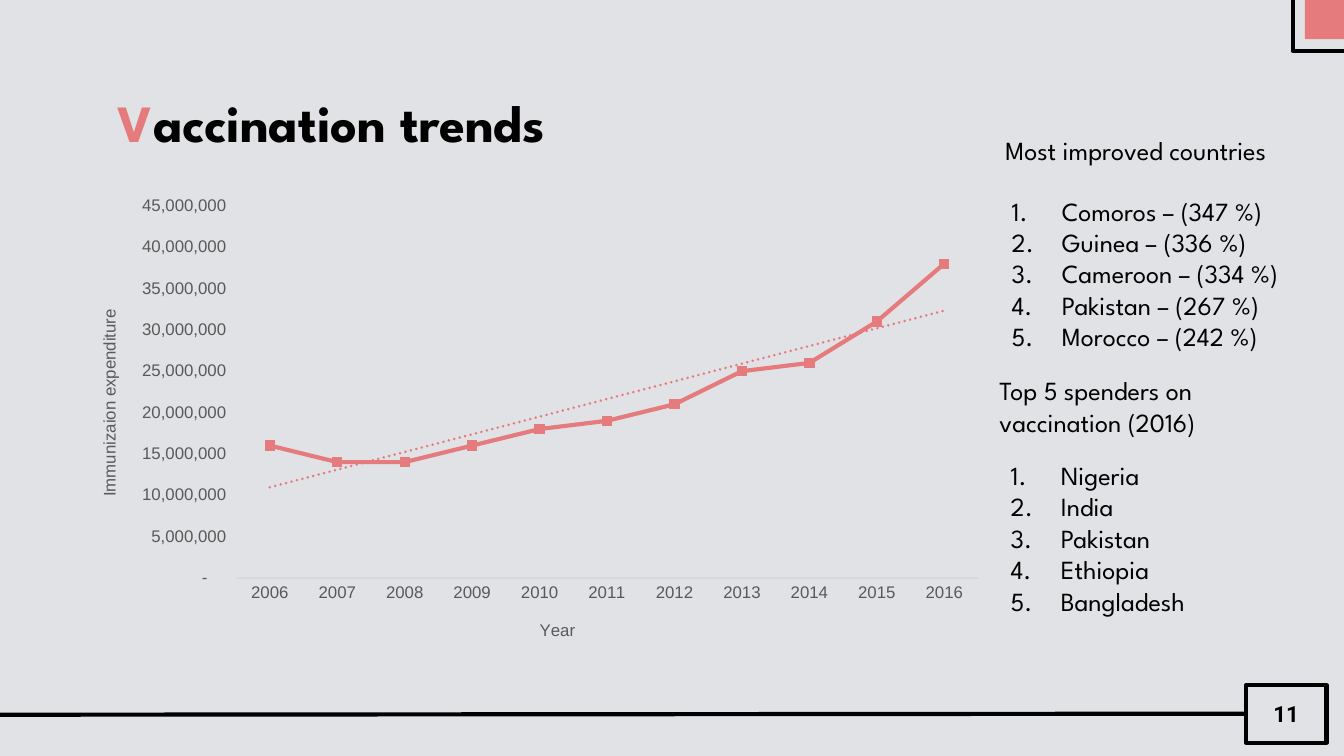
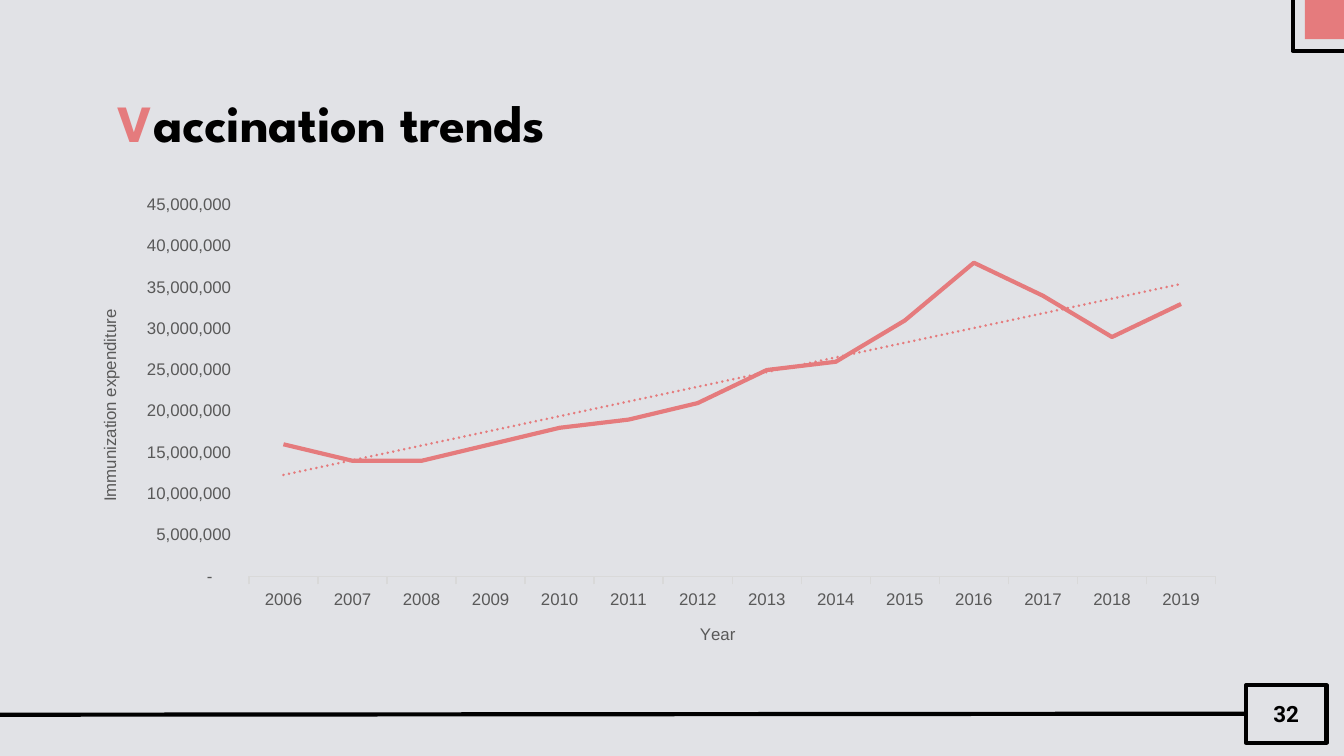
"""Build two slides on vaccination trends with line charts and ranked lists."""
from lxml import etree
from pptx import Presentation
from pptx import util as u
from pptx.chart import data
from pptx.dml import color
from pptx.enum import chart as charts, shapes, text
from pptx.oxml import ns, parse_xml

COLOURS = {"paper": "E1E2E6", "ink": "000000", "accent": "E57B7D",
           "label": "595959", "axis": "D9D9D9"}
HEAD_FONT, NUMBER_FONT, CHART_FONT = "League Spartan", "Roboto", "Arial"
NUMBER_FORMAT = '_(* #,##0_);_(* \\(#,##0\\);_(* "-"??_);_(@_)'
SPENDING = [16, 14, 14, 16, 18, 19, 21, 25, 26, 31, 38, 34, 29, 33]
FIRST_YEAR = 2006
TRENDLINE = f"""<c:trendline {ns.nsdecls("c", "a")}><c:spPr>
<a:ln w="19050" cap="rnd"><a:solidFill><a:srgbClr val="{COLOURS["accent"]}"/></a:solidFill>
<a:prstDash val="sysDot"/></a:ln></c:spPr><c:trendlineType val="linear"/>
<c:dispRSqr val="0"/><c:dispEq val="0"/></c:trendline>"""


def rgb(name):
    return color.RGBColor.from_string(COLOURS[name])


def style_font(font, face, size, colour, bold=False):
    font.name, font.size, font.bold = face, u.Pt(size), bold
    font.color.rgb = rgb(colour)


def write(para, words, face=HEAD_FONT, size=14, colour="ink", bold=False):
    span = para.add_run()
    span.text = words
    style_font(span.font, face, size, colour, bold)


def add_element(parent, tag, **attributes):
    return etree.SubElement(parent, ns.qn(tag), attributes)


def place(parent, index, inner=False, **fractions):
    for old in parent.findall(ns.qn("c:layout")):
        parent.remove(old)
    layout = parse_xml(f'<c:layout {ns.nsdecls("c")}/>')
    parent.insert(index, layout)
    manual = add_element(layout, "c:manualLayout")
    if inner:
        add_element(manual, "c:layoutTarget", val="inner")
    for key in "xy":
        add_element(manual, f"c:{key}Mode", val="edge")
    for key, value in fractions.items():
        add_element(manual, f"c:{key}", val=str(value))


class Slides:
    """Hold the deck style and the current page."""

    def __init__(self):
        self.deck = Presentation()
        self.deck.slide_width, self.deck.slide_height = u.Cm(25.4), u.Cm(14.29)
        self.page = None

    def new_page(self, number):
        self.page = self.deck.slides.add_slide(self.deck.slide_layouts[6])
        fill = self.page.background.fill
        fill.solid()
        fill.fore_color.rgb = rgb("paper")
        self.line(-0.2, 13.51, 23.55, 13.49)
        self.rectangle(24.43, -0.56, 1.52, 1.52, line="ink")
        self.rectangle(24.66, 0, 0.74, 0.74, fill="accent")
        self.title("V", "accination trends")
        badge = self.rectangle(23.55, 12.95, 1.52, 1.09, line="ink")
        frame = self.inset(badge.text_frame)
        frame.paragraphs[0].alignment = text.PP_ALIGN.CENTER
        write(frame.paragraphs[0], str(number), face=NUMBER_FONT, size=12, bold=True)

    def inset(self, frame):
        frame.margin_top = frame.margin_bottom = u.Cm(0.25)
        frame.vertical_anchor = text.MSO_ANCHOR.MIDDLE
        return frame

    def line(self, *ends):
        rule = self.page.shapes.add_connector(
            shapes.MSO_CONNECTOR.STRAIGHT, *map(u.Cm, ends))
        rule.line.color.rgb, rule.line.width = rgb("ink"), u.Pt(2.25)
        add_element(rule._element.spPr, "a:effectLst")

    def rectangle(self, *place_at, fill=None, line=None):
        box = self.page.shapes.add_shape(
            shapes.MSO_SHAPE.RECTANGLE, *map(u.Cm, place_at))
        box.shadow.inherit = False
        if fill:
            box.fill.solid()
            box.fill.fore_color.rgb = rgb(fill)
        else:
            box.fill.background()
        if line:
            box.line.color.rgb, box.line.width = rgb(line), u.Pt(2.25)
        else:
            box.line.fill.background()
        return box

    def text_box(self, *place_at):
        frame = self.page.shapes.add_textbox(*map(u.Cm, place_at)).text_frame
        frame.word_wrap = True
        return frame

    def title(self, initial, rest):
        para = self.inset(self.text_box(1.98, 1.5, 21.44, 1.6)).paragraphs[0]
        write(para, initial, size=28, colour="accent", bold=True)
        write(para, rest, size=28, bold=True)

    def heading(self, words, *place_at):
        frame = self.text_box(*place_at)
        frame.auto_size = text.MSO_AUTO_SIZE.SHAPE_TO_FIT_TEXT
        write(frame.paragraphs[0], words)

    def numbered_list(self, items, *place_at):
        frame = self.text_box(*place_at)
        frame.auto_size = text.MSO_AUTO_SIZE.SHAPE_TO_FIT_TEXT
        for index, item in enumerate(items):
            para = frame.add_paragraph() if index else frame.paragraphs[0]
            props = para._p.get_or_add_pPr()
            props.set("marL", str(u.Cm(0.95)))
            props.set("indent", str(-u.Cm(0.95)))
            add_element(add_element(props, "a:buClr"), "a:srgbClr", val=COLOURS["ink"])
            add_element(props, "a:buAutoNum", type="arabicPeriod")
            write(para, item)

    def axis(self, axis, words, tick, x, y):
        axis.has_major_gridlines = False
        axis.major_tick_mark = tick
        axis.minor_tick_mark = charts.XL_TICK_MARK.NONE
        style_font(axis.tick_labels.font, CHART_FONT, 9, "label")
        title = axis.axis_title
        write(title.text_frame.paragraphs[0], words, CHART_FONT, 9, "label")
        place(title._element, 1, x=x, y=y)

    def trend_chart(self, values, place_at, plot, year_x, value_title, value_x,
                    markers, tick):
        source = data.CategoryChartData()
        source.categories = [str(FIRST_YEAR + n) for n in range(len(values))]
        source.add_series("Series 1", [value * 1_000_000 for value in values])
        kind = charts.XL_CHART_TYPE
        chart = self.page.shapes.add_chart(
            kind.LINE_MARKERS if markers else kind.LINE,
            *map(u.Cm, place_at), source).chart
        chart.has_title = chart.has_legend = False
        style_font(chart.font, CHART_FONT, 10, "ink")
        chart.plots[0].vary_by_categories = False
        years, amounts = chart.category_axis, chart.value_axis
        self.axis(years, "Year", tick, year_x, 0.9)
        years.format.line.color.rgb = rgb("axis")
        years.format.line.width = u.Pt(0.75)
        self.axis(amounts, value_title, tick, value_x, 0.25)
        amounts.axis_title.text_frame._txBody.bodyPr.set("rot", "-5400000")
        amounts.format.line.fill.background()
        amounts.minimum_scale, amounts.maximum_scale = 0, 45_000_000
        amounts.major_unit = 5_000_000
        amounts.tick_labels.number_format = NUMBER_FORMAT
        amounts.tick_labels.number_format_is_linked = False
        series = chart.plots[0].series[0]
        series.smooth = False
        series.format.line.color.rgb = rgb("accent")
        series.format.line.width = u.Pt(2.25)
        if markers:
            series.marker.style = charts.XL_MARKER_STYLE.SQUARE
            series.marker.size = 5
            series.marker.format.fill.solid()
            series.marker.format.fill.fore_color.rgb = rgb("accent")
            series.marker.format.line.color.rgb = rgb("accent")
        series._element.find(ns.qn("c:cat")).addprevious(parse_xml(TRENDLINE))
        area = chart._chartSpace.find(".//" + ns.qn("c:plotArea"))
        place(area, 0, inner=True, **dict(zip("xywh", plot)))


def main():
    show = Slides()
    ticks = charts.XL_TICK_MARK
    show.new_page(11)
    show.trend_chart(SPENDING[:11], (1.09, 3.53, 17.75, 9.02),
                     (0.19, 0.04, 0.79, 0.78), 0.51,
                     "Immunizaion expenditure", 0.04, True, ticks.NONE)
    improved = {"Comoros": 347, "Guinea": 336, "Cameroon": 334,
                "Pakistan": 267, "Morocco": 242}
    show.numbered_list([f"{country} – ({rise} %)" for country, rise in improved.items()],
                       18.87, 3.56, 6.05, 3.25)
    show.heading("Most improved countries", 18.75, 2.41, 6.05, 0.86)
    show.heading("Top 5 spenders on vaccination (2016)", 18.64, 6.96, 6.05, 1.45)
    show.numbered_list(["Nigeria", "India", "Pakistan", "Ethiopia", "Bangladesh"],
                       18.85, 8.56, 6.05, 3.25)
    show.new_page(32)
    show.trend_chart(SPENDING, (1.14, 3.51, 22.28, 9.12),
                     (0.16, 0.04, 0.82, 0.77), 0.54,
                     "Immunization expenditure", 0.03, False, ticks.OUTSIDE)
    show.deck.save("out.pptx")


if __name__ == "__main__":
    main()
